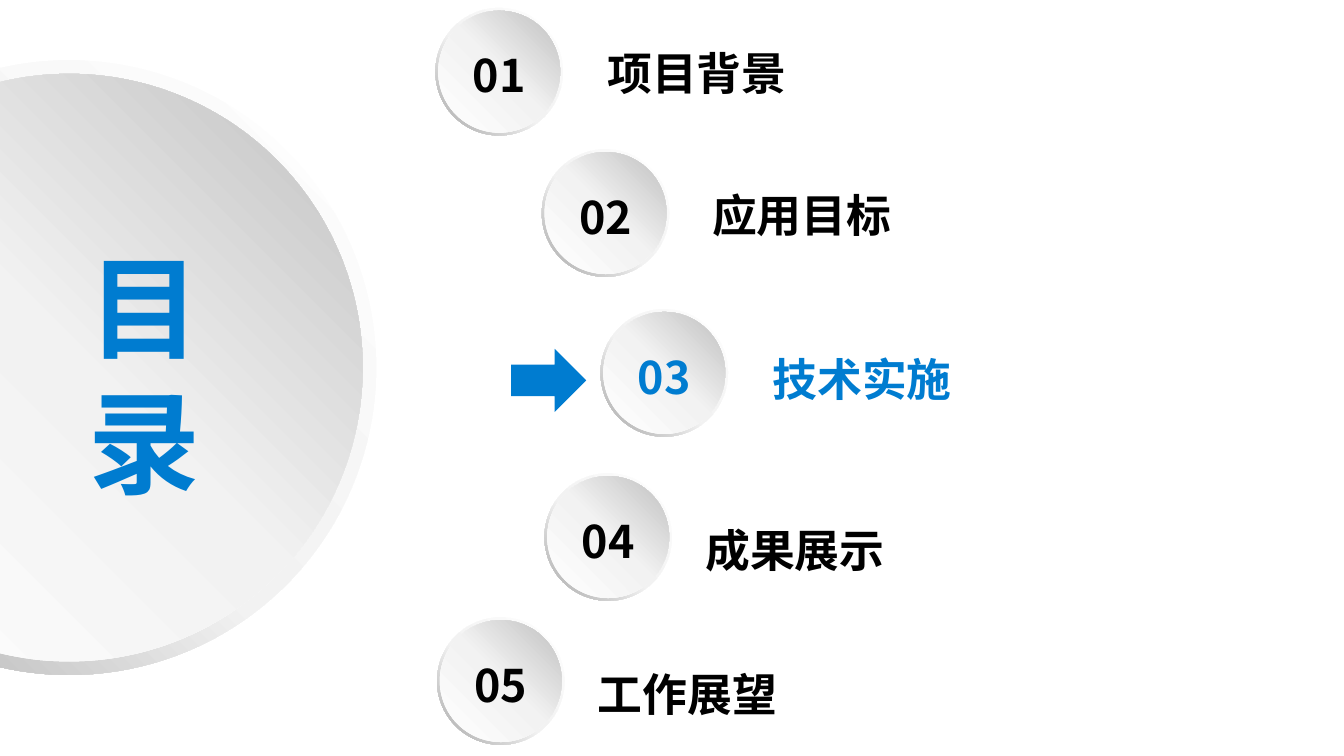
from lxml.etree import SubElement
from pptx import Presentation
from pptx.dml.color import RGBColor
from pptx.enum.shapes import MSO_SHAPE
from pptx.enum.text import MSO_ANCHOR, MSO_AUTO_SIZE, PP_ALIGN
from pptx.oxml.ns import qn
from pptx.util import Cm, Pt

FONT = "Noto Sans CJK SC"
COLORS = {"accent": "007CD0", "text": "000000", "white": "FFFFFF",
          "light": "F2F2F2", "mid": "BFBFBF", "dark": "A6A6A6"}

deck = Presentation()
deck.slide_width, deck.slide_height = Cm(25.4), Cm(14.28)
page = deck.slides.add_slide(deck.slide_layouts[5])


def add_disc(left, top, size):
    """A raised button: a shaded rim with a shaded face inside it."""
    inset = size * 0.022
    layers = [
        (MSO_SHAPE.DONUT, 0, 135, [(0, "white"), (55, "light"), (100, "dark")]),
        (MSO_SHAPE.OVAL, inset, 315, [(0, "white"), (51, "light"), (100, "mid")]),
    ]
    for kind, gap, angle, stops in layers:
        disc = page.shapes.add_shape(kind, Cm(left + gap), Cm(top + gap),
                                     Cm(size - 2 * gap), Cm(size - 2 * gap))
        if kind == MSO_SHAPE.DONUT:
            disc.adjustments[0] = 0.05
        disc.shadow.inherit = False
        disc.line.fill.background()
        disc.fill.gradient()
        disc.fill.gradient_angle = 360 - angle
        stop_list = disc._element.spPr.find(".//" + qn("a:gsLst"))
        for old_stop in list(stop_list):
            stop_list.remove(old_stop)
        for position, color in stops:
            stop = SubElement(stop_list, qn("a:gs"), pos=str(position * 1000))
            SubElement(stop, qn("a:srgbClr"), val=COLORS[color])


def write_text(box, lines, size, color, align, side=0, top=0):
    """Fill a box with bold lines at a fixed pitch of 1.2 times the size."""
    frame = box.text_frame
    frame_format = {
        "word_wrap": True, "auto_size": MSO_AUTO_SIZE.NONE,
        "vertical_anchor": MSO_ANCHOR.TOP,
        "margin_left": Cm(side), "margin_right": Cm(side),
        "margin_top": Cm(top) + Pt(size * 0.08), "margin_bottom": 0,
    }
    for name, value in frame_format.items():
        setattr(frame, name, value)
    frame.text = "\n".join(lines)
    for para in frame.paragraphs:
        para.alignment = align
        para.line_spacing = Pt(size * 1.2)
        para.space_before = Pt(0)
        span = para.runs[0]
        for name, value in {"name": FONT, "size": Pt(size), "bold": True}.items():
            setattr(span.font, name, value)
        span.font.color.rgb = RGBColor.from_string(COLORS[color])
        SubElement(span._r.get_or_add_rPr(), qn("a:ea"), typeface=FONT)


# Large disc with the title in front of it
add_disc(-4.5, 1.14, 11.61)
title = page.shapes.title
title_place = {"left": Cm(0.71), "top": Cm(4.34), "width": Cm(4.04), "height": Cm(5.13)}
for name, value in title_place.items():
    setattr(title, name, value)
write_text(title, ["目", "录"], 60, "accent", PP_ALIGN.CENTER)
page.shapes._spTree.append(title._element)

# Contents: heading, disc left and top, label left, top and width
current = 3
sections = [
    ("项目背景", 8.23, 0.15, 11.23, 0.66, 7.26),
    ("应用目标", 10.24, 2.82, 13.21, 3.35, 6.45),
    ("技术实施", 11.35, 5.84, 14.35, 6.45, 5.99),
    ("成果展示", 10.29, 8.94, 13.08, 9.68, 7.26),
    ("工作展望", 8.26, 11.66, 11.05, 12.4, 7.26),
]
for number, section in enumerate(sections, 1):
    heading, left, top, label_left, label_top, label_width = section
    color = "accent" if number == current else "text"
    add_disc(left, top, 2.41)
    number_box = page.shapes.add_textbox(Cm(left + 0.39), Cm(top + 0.69), Cm(1.63), Cm(1.02))
    write_text(number_box, [f"{number:02}"], 24, color, PP_ALIGN.CENTER)
    label = page.shapes.add_textbox(Cm(label_left), Cm(label_top), Cm(label_width), Cm(1.27))
    write_text(label, [heading], 24, color, PP_ALIGN.LEFT, side=0.25, top=0.13)

# Arrow to the current section
arrow = page.shapes.add_shape(MSO_SHAPE.RIGHT_ARROW, Cm(9.66), Cm(6.59), Cm(1.42), Cm(1.19))
arrow.shadow.inherit = False
arrow.line.fill.background()
arrow.fill.solid()
arrow.fill.fore_color.rgb = RGBColor.from_string(COLORS["accent"])

deck.save("out.pptx")
